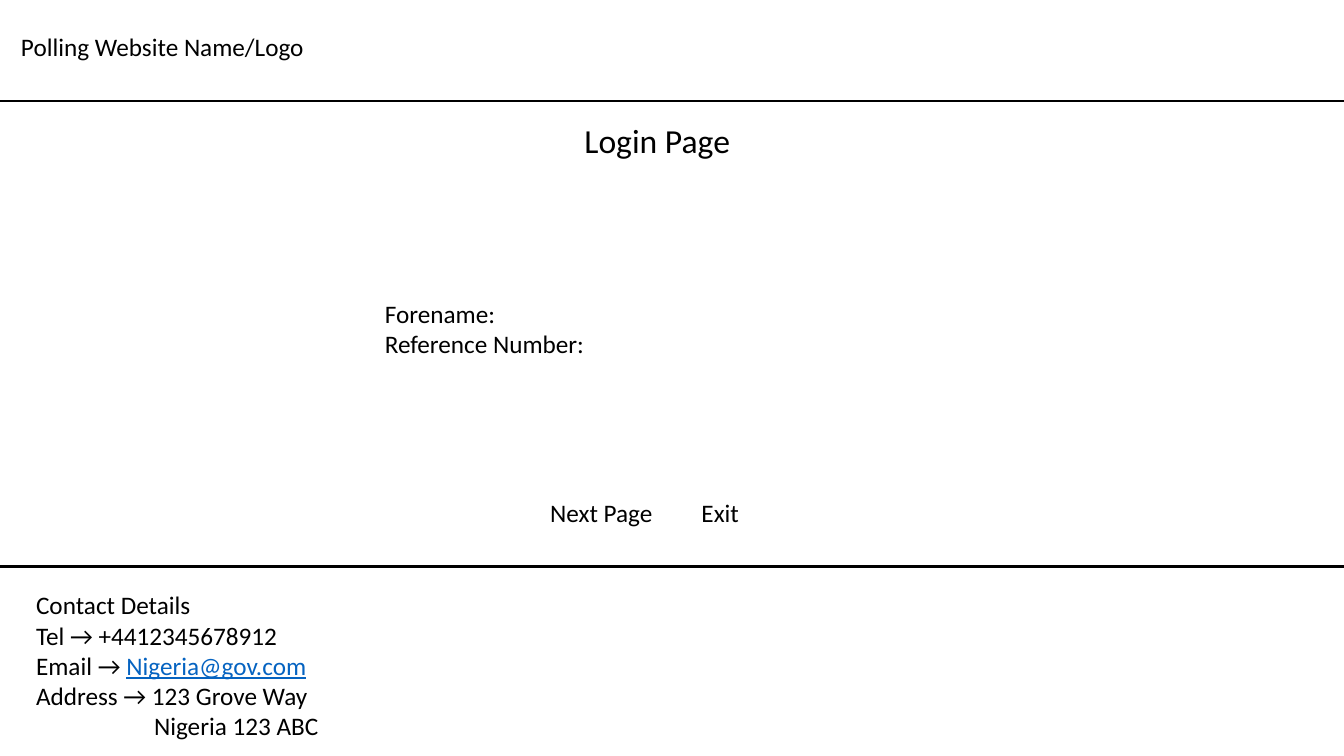
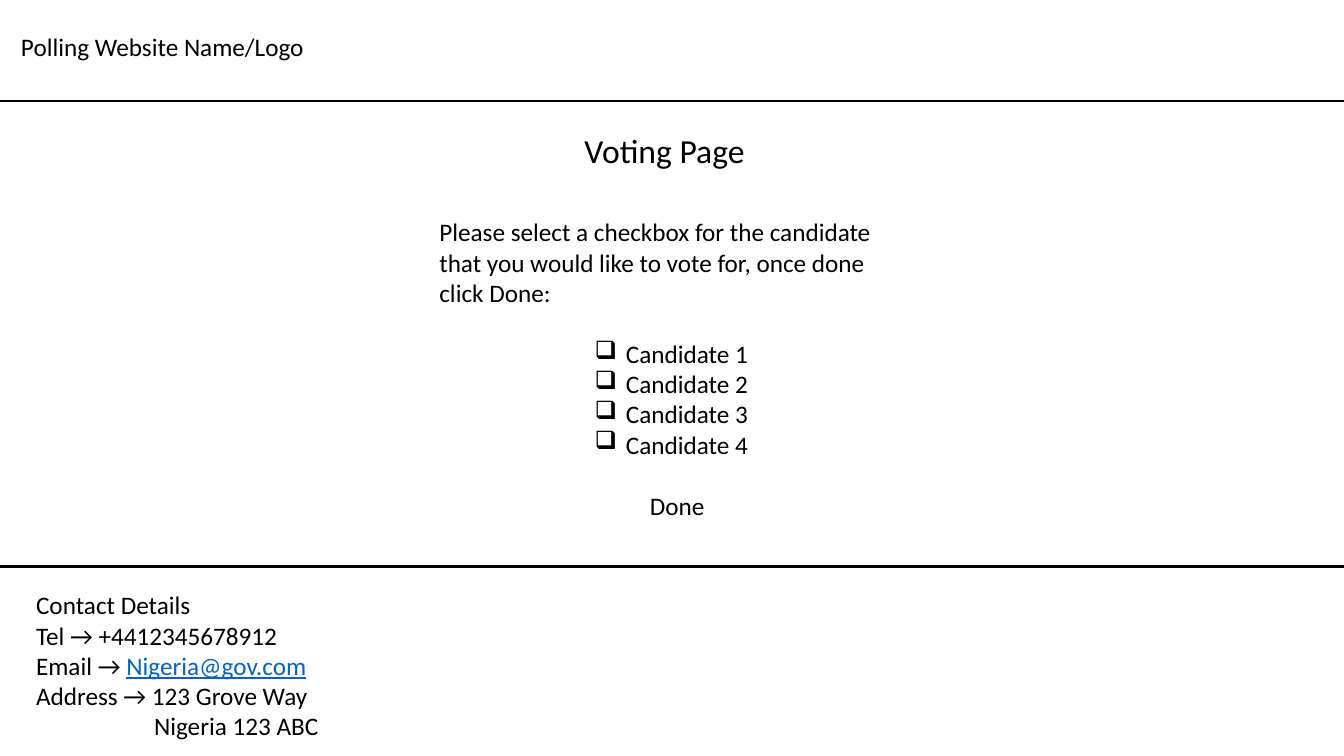
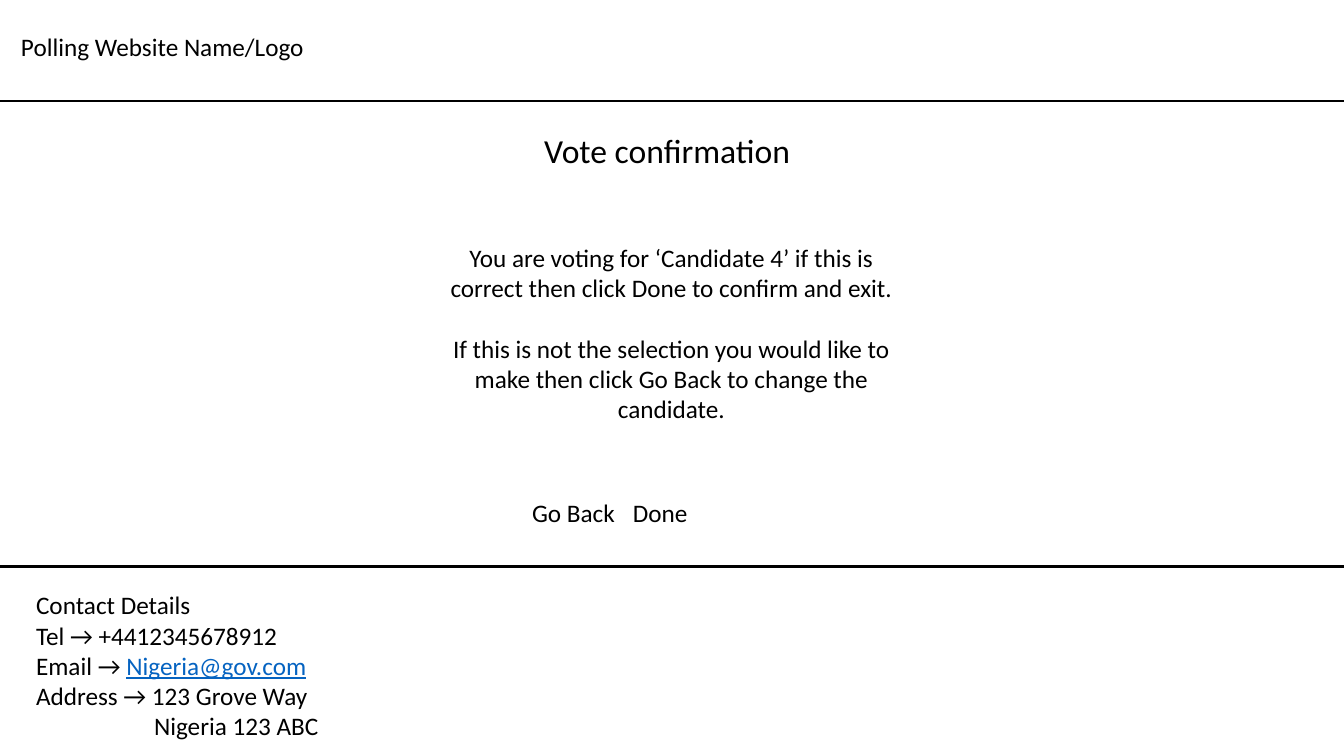
from lxml import etree
from pptx import Presentation
from pptx.dml.color import RGBColor
from pptx.enum.shapes import MSO_CONNECTOR
from pptx.enum.text import PP_ALIGN
from pptx.oxml.ns import qn
from pptx.util import Inches, Pt

LEFT, CENTER = PP_ALIGN.LEFT, PP_ALIGN.CENTER
STRAIGHT = MSO_CONNECTOR.STRAIGHT
BLACK = RGBColor(0x00, 0x00, 0x00)
LINK_BLUE = RGBColor(0x05, 0x63, 0xC1)
FONT = "Calibri"
BODY_SIZE, TITLE_SIZE = 18, 24
LINE_GAP = 22
COLUMNS, ROWS = 40, 30
BLANK_LAYOUT = 6


def write(paragraph, text, size=BODY_SIZE, color=BLACK, underline=None, align=LEFT,
          before=0, margin=0, hanging=0, bullet=None, tab=None):
    """Add a run to a paragraph and format both."""
    paragraph.alignment = align
    paragraph.space_before = Pt(before)
    properties = paragraph._p.get_or_add_pPr()
    properties.set("marL", str(Inches(margin)))
    properties.set("indent", str(-Inches(hanging)))
    if bullet:
        etree.SubElement(properties, qn("a:buChar"), char=bullet)
    if tab:
        tabs = etree.SubElement(properties, qn("a:tabLst"))
        etree.SubElement(tabs, qn("a:tab"), pos=str(Inches(tab)), algn="l")
    run = paragraph.add_run()
    run.text = text
    run.font.name = FONT
    run.font.size = Pt(size)
    run.font.color.rgb = color
    run.font.underline = underline


class PollingSite:
    """Style of the polling pages and the slide being built."""

    def __init__(self):
        """Start a widescreen presentation."""
        self.presentation = Presentation()
        self.presentation.slide_width = Inches(13.33)
        self.presentation.slide_height = Inches(7.5)
        self.slide = None

    def across(self, columns):
        """Turn grid columns into a length."""
        return round(self.presentation.slide_width * columns / COLUMNS)

    def down(self, rows):
        """Turn grid rows into a length."""
        return round(self.presentation.slide_height * rows / ROWS)

    def text(self, column, row, width, height, *lines, **style):
        """Add a text box whose lines are strings or (string, format) pairs."""
        shape = self.slide.shapes.add_textbox(
            self.across(column), self.down(row), self.across(width), self.down(height))
        frame = shape.text_frame
        frame.word_wrap = True
        for index, line in enumerate(lines):
            content, extra = (line, {}) if isinstance(line, str) else line
            paragraph = frame.add_paragraph() if index else frame.paragraphs[0]
            write(paragraph, content, **{**style, **extra})
        return frame

    def rule(self, row):
        """Draw a full-width horizontal line."""
        connector = self.slide.shapes.add_connector(
            STRAIGHT, 0, self.down(row), self.across(COLUMNS), self.down(row))
        connector.line.color.rgb = BLACK
        connector.line.width = Pt(1.5)
        etree.SubElement(connector._element.spPr, qn("a:effectLst"))

    def title(self, column, row, width, text):
        """Add the page title."""
        self.text(column, row, width, 2, text, size=TITLE_SIZE)

    def buttons(self, column, row, width, *labels):
        """Add button labels spaced by a tab stop."""
        self.text(column, row, width, 1.6, "\t".join(labels), tab=2)

    def page(self):
        """Start a page with its header and contact footer."""
        layout = self.presentation.slide_layouts[BLANK_LAYOUT]
        self.slide = self.presentation.slides.add_slide(layout)
        self.text(0.33, 1.04, 17.37, 1.6, "Polling Website Name/Logo")
        self.rule(4)
        self.rule(22.48)
        contact = self.text(
            0.78, 23.2, 16.62, 6.48,
            "Contact Details", "Tel → +4412345678912", "Email → ",
            "Address → 123 Grove Way", ("Nigeria 123 ABC", {"margin": 1.17}))
        write(contact.paragraphs[2], "Nigeria@gov.com", color=LINK_BLUE, underline=True)


def main():
    """Build the three pages."""
    site = PollingSite()

    site.page()
    site.title(17.1, 4.56, 5.82, "Login Page")
    site.text(11.16, 11.64, 17.64, 2.84, "Forename:", "Reference Number:")
    site.buttons(16.08, 19.52, 7.86, "Next Page", "Exit")

    site.page()
    site.title(17.1, 4.96, 5.82, "Voting Page")
    checkbox = {"align": CENTER, "margin": 0.31, "hanging": 0.31, "bullet": "❑"}
    candidates = [
        (f"Candidate {number}", {**checkbox, "before": LINE_GAP if number == 1 else 0})
        for number in range(1, 5)]
    site.text(
        12.78, 8.4, 14.4, 10.08,
        "Please select a checkbox for the candidate that you would like to vote for, "
        "once done click Done:", *candidates)
    site.buttons(19.05, 19.28, 2.37, "Done")

    site.page()
    site.title(15.9, 4.96, 8.22, "Vote confirmation")
    site.text(
        12.78, 9.4, 14.4, 7.68,
        "You are voting for ‘Candidate 4’ if this is correct then click Done to confirm "
        "and exit.",
        ("If this is not the selection you would like to make then click Go Back to "
         "change the candidate.", {"before": LINE_GAP}), align=CENTER)
    site.buttons(15.54, 19.52, 8.91, "Go Back", "Done")

    site.presentation.save("out.pptx")


if __name__ == "__main__":
    main()
